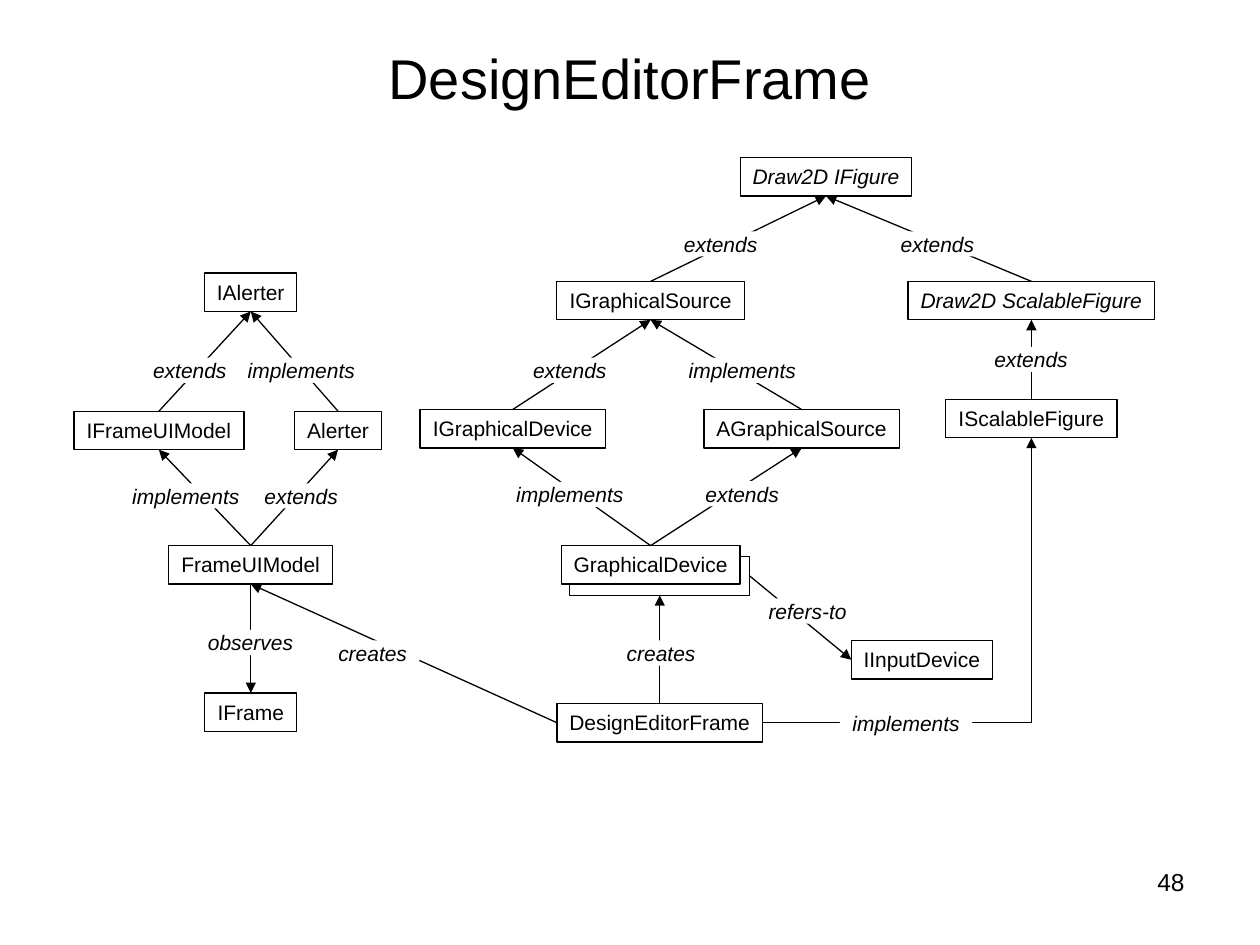
from dataclasses import dataclass
from typing import Any

from lxml.etree import SubElement
from pptx import Presentation
from pptx.dml.color import RGBColor
from pptx.enum.shapes import MSO_CONNECTOR, MSO_SHAPE
from pptx.enum.text import MSO_ANCHOR, MSO_AUTO_SIZE, PP_ALIGN
from pptx.oxml.ns import qn
from pptx.util import Pt

BLACK = "000000"
WHITE = "FFFFFF"
TOP, LEFT, BOTTOM, RIGHT = range(4)
BOX_HEIGHT = 22
LABEL_HEIGHT = 14.4
SIDE_INSET = 5
LABEL_WIDTHS = {
    "extends": 56,
    "implements": 75.6,
    "creates": 53.3,
    "refers-to": 59,
    "observes": 62.6,
}


@dataclass
class ClassBox:
    name: str
    center: float
    top: float
    width: float
    italic: bool = False


@dataclass
class Relation:
    source: str
    target: str
    verb: str
    label_center: float
    label_top: float
    source_side: int = TOP
    target_side: int = BOTTOM
    bent: bool = False


DEVICE_STACK = ClassBox("", 377, 318.2, 103)
CLASS_BOXES = [
    ClassBox("Draw2D IFigure", 472, 90, 98, True),
    ClassBox("Draw2D ScalableFigure", 589.4, 160.8, 141, True),
    ClassBox("IScalableFigure", 589.4, 228.2, 98),
    ClassBox("IGraphicalSource", 371.8, 160.8, 107.3),
    ClassBox("IGraphicalDevice", 293, 234, 105.8),
    ClassBox("AGraphicalSource", 458.1, 234, 111.6),
    ClassBox("GraphicalDevice", 371.8, 311.8, 102.3),
    ClassBox("IInputDevice", 526.8, 366, 80.6),
    ClassBox("DesignEditorFrame", 377, 402, 117.5),
    ClassBox("IAlerter", 143.3, 156, 52.6),
    ClassBox("IFrameUIModel", 90.8, 235, 97.2),
    ClassBox("Alerter", 193.2, 235, 49.7),
    ClassBox("FrameUIModel", 143.3, 311.8, 93.6),
    ClassBox("IFrame", 143.3, 396, 52.6),
]
RELATIONS = [
    Relation("DesignEditorFrame", "IScalableFigure", "implements", 517.8, 406, RIGHT, BOTTOM, True),
    Relation("Draw2D ScalableFigure", "Draw2D IFigure", "extends", 535.7, 132.2),
    Relation("IScalableFigure", "Draw2D ScalableFigure", "extends", 589.2, 198.2),
    Relation("IGraphicalSource", "Draw2D IFigure", "extends", 411.8, 132.2),
    Relation("IGraphicalDevice", "IGraphicalSource", "extends", 325.6, 204.4),
    Relation("AGraphicalSource", "IGraphicalSource", "implements", 424.2, 204.4),
    Relation("GraphicalDevice", "AGraphicalSource", "extends", 424.1, 275),
    Relation("GraphicalDevice", "IGraphicalDevice", "implements", 325.6, 275.4),
    Relation("DesignEditorFrame", "", "creates", 377.8, 366),
    Relation("", "IInputDevice", "refers-to", 461.5, 342, RIGHT, LEFT),
    Relation("DesignEditorFrame", "FrameUIModel", "creates", 213, 366, LEFT, BOTTOM),
    Relation("Alerter", "IAlerter", "implements", 172.2, 204.4),
    Relation("IFrameUIModel", "IAlerter", "extends", 108.5, 204.4),
    Relation("FrameUIModel", "IFrameUIModel", "implements", 106.2, 276.2),
    Relation("FrameUIModel", "Alerter", "extends", 172.1, 276.2),
    Relation("FrameUIModel", "IFrame", "observes", 143.2, 360, BOTTOM, TOP),
]


def color(value: str) -> RGBColor:
    return RGBColor.from_string(value)


def apply(target: Any, values: dict) -> None:
    for name, value in values.items():
        setattr(target, name, value)


def write(shape: Any, text: str, size: float, align: Any, italic: bool = False) -> None:
    para = shape.text_frame.paragraphs[0]
    para.alignment = align
    span = para.add_run()
    span.text = text
    apply(span.font, {"name": "Arial", "size": Pt(size), "bold": False, "italic": italic})
    span.font.color.rgb = color(BLACK)


def add_box(page: Any, item: ClassBox, height: float, inset: float, outlined: bool) -> Any:
    box = page.shapes.add_shape(
        MSO_SHAPE.RECTANGLE,
        Pt(item.center - item.width / 2),
        Pt(item.top),
        Pt(item.width),
        Pt(height),
    )
    box.shadow.inherit = False
    box.fill.solid()
    box.fill.fore_color.rgb = color(WHITE)
    if outlined:
        box.line.color.rgb = color(BLACK)
        box.line.width = Pt(0.75)
    else:
        box.line.fill.background()
    if item.name:
        apply(box.text_frame, {
            "word_wrap": False,
            "auto_size": MSO_AUTO_SIZE.NONE,
            "vertical_anchor": MSO_ANCHOR.TOP,
            "margin_left": Pt(SIDE_INSET),
            "margin_right": Pt(SIDE_INSET),
            "margin_top": Pt(inset),
            "margin_bottom": Pt(inset),
        })
        write(box, item.name, 12, PP_ALIGN.CENTER, item.italic)
    return box


def add_arrow(page: Any, relation: Relation, boxes: dict) -> None:
    kind = MSO_CONNECTOR.ELBOW if relation.bent else MSO_CONNECTOR.STRAIGHT
    arrow = page.shapes.add_connector(kind, Pt(0), Pt(0), Pt(0), Pt(0))
    arrow.begin_connect(boxes[relation.source], relation.source_side)
    arrow.end_connect(boxes[relation.target], relation.target_side)
    arrow.line.color.rgb = color(BLACK)
    arrow.line.width = Pt(0.75)
    properties = arrow.element.spPr
    if relation.bent:
        properties.find(qn("a:prstGeom")).set("prst", "bentConnector2")
    SubElement(properties.find(qn("a:ln")), qn("a:tailEnd"), type="triangle")
    SubElement(properties, qn("a:effectLst"))


def add_label(page: Any, relation: Relation) -> None:
    label = ClassBox(
        relation.verb,
        relation.label_center,
        relation.label_top,
        LABEL_WIDTHS[relation.verb],
        True,
    )
    add_box(page, label, LABEL_HEIGHT, 0, False)


def main() -> None:
    deck = Presentation()
    apply(deck, {"slide_width": Pt(720), "slide_height": Pt(540)})
    page = deck.slides.add_slide(deck.slide_layouts[5])

    title = page.shapes.title
    apply(title, {"left": Pt(36), "top": Pt(21.6), "width": Pt(648), "height": Pt(44.6)})
    apply(title.text_frame, {"vertical_anchor": MSO_ANCHOR.MIDDLE, "word_wrap": True})
    write(title, "DesignEditorFrame", 32, PP_ALIGN.CENTER)

    boxes = {
        item.name: add_box(page, item, BOX_HEIGHT, 3.6, True)
        for item in [DEVICE_STACK, *CLASS_BOXES]
    }
    for relation in RELATIONS:
        add_arrow(page, relation, boxes)
    for relation in RELATIONS:
        add_label(page, relation)

    number = page.shapes.add_textbox(Pt(558), Pt(491.8), Pt(126), Pt(37.4))
    number.text_frame.word_wrap = True
    write(number, "48", 14, PP_ALIGN.RIGHT)

    deck.save("out.pptx")


if __name__ == "__main__":
    main()
